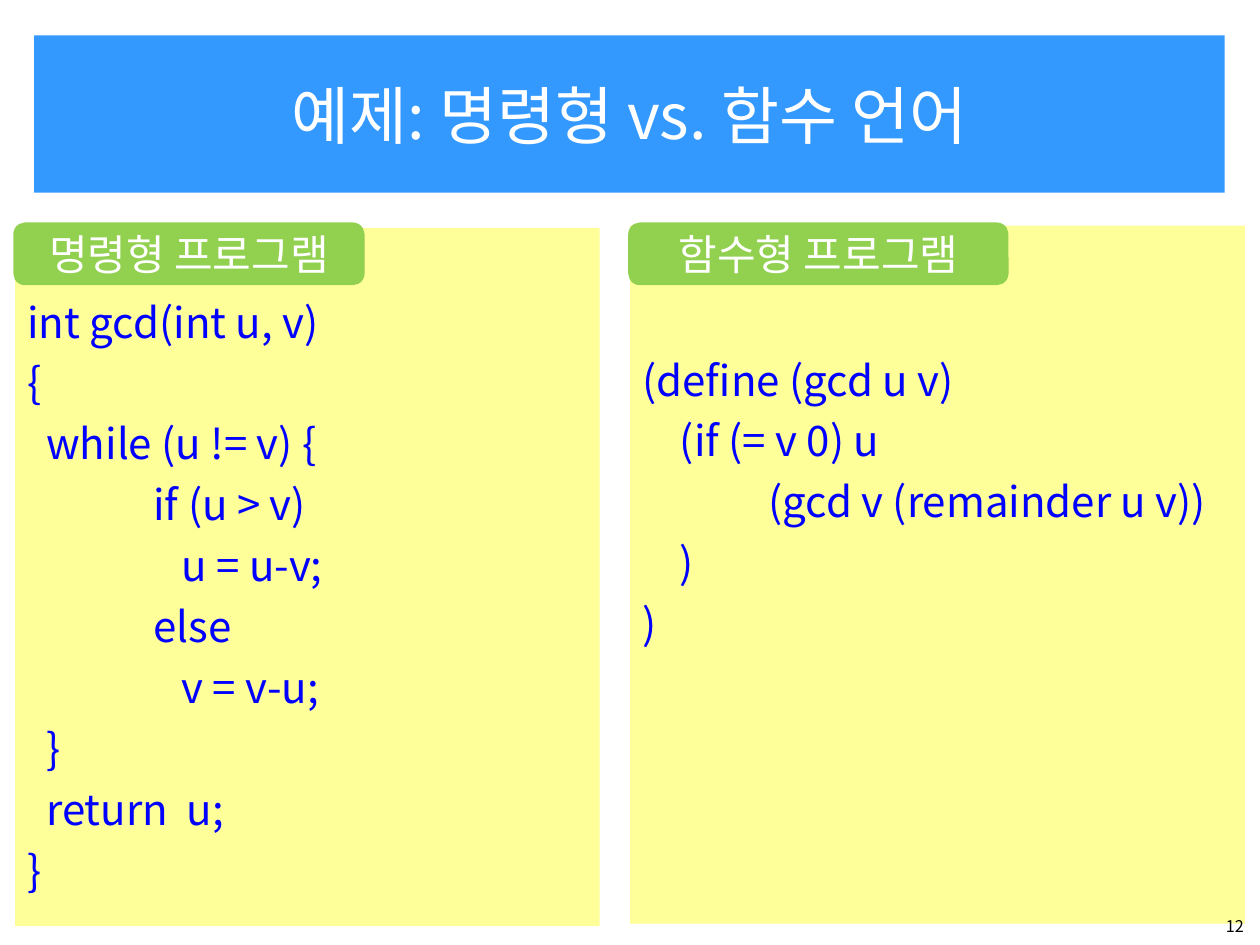
from dataclasses import dataclass

from lxml import etree
from pptx import Presentation
from pptx.dml.color import RGBColor
from pptx.enum.shapes import MSO_SHAPE
from pptx.enum.text import MSO_ANCHOR, PP_ALIGN
from pptx.oxml.ns import qn
from pptx.util import Inches, Pt

RECTANGLE = MSO_SHAPE.RECTANGLE
ROUNDED = MSO_SHAPE.ROUNDED_RECTANGLE
TOP, MIDDLE = MSO_ANCHOR.TOP, MSO_ANCHOR.MIDDLE
LEFT, CENTER, RIGHT = PP_ALIGN.LEFT, PP_ALIGN.CENTER, PP_ALIGN.RIGHT


@dataclass(frozen=True)
class Theme:
    font: str = "Noto Sans CJK KR"
    banner: str = "3399FF"
    panel: str = "FFFF99"
    label: str = "92D050"
    code: str = "0000FF"
    white: str = "FFFFFF"
    black: str = "000000"
    title_size: float = 36
    body_size: float = 24
    number_size: float = 9.2


THEME = Theme()

IMPERATIVE_CODE = """int gcd(int u, v)
{
  while (u != v) {
\tif (u > v)
\t   u = u-v;
\telse
\t   v = v-u;
  }
  return  u;
}"""

FUNCTIONAL_CODE = """(define (gcd u v)
    (if (= v 0) u
\t(gcd v (remainder u v))
    )
)"""


def add_block(kind, left, top, width, height, fill, outline=None):
    block = page.shapes.add_shape(
        kind, Inches(left), Inches(top), Inches(width), Inches(height))
    block.shadow.inherit = False
    block.fill.solid()
    block.fill.fore_color.rgb = RGBColor.from_string(fill)
    if outline:
        block.line.color.rgb = RGBColor.from_string(outline)
        block.line.width = Pt(2)
    else:
        block.line.fill.background()
    return block


def write_text(box, text, size, color, align=LEFT, anchor=TOP,
               top_inset=0.05, tab_stop=None, space_before=6):
    """Write one paragraph per line of text; tab_stop is in inches."""
    frame = box.text_frame
    frame.word_wrap = True
    frame.vertical_anchor = anchor
    frame.margin_top = Inches(top_inset)
    for index, line in enumerate(text.split("\n")):
        para = frame.add_paragraph() if index else frame.paragraphs[0]
        para.alignment = align
        if tab_stop:
            tabs = etree.SubElement(para._p.get_or_add_pPr(), qn("a:tabLst"))
            etree.SubElement(tabs, qn("a:tab"),
                             pos=str(Inches(tab_stop)), algn="l")
        if index:
            para.space_before = Pt(space_before)
        span = para.add_run()
        span.text = line
        span.font.size = Pt(size)
        span.font.name = THEME.font
        span.font.color.rgb = RGBColor.from_string(color)
        span.font._element.set("kern", "0")
        east_asian = etree.SubElement(span.font._element, qn("a:ea"))
        east_asian.set("typeface", THEME.font)


deck = Presentation()
deck.slide_width, deck.slide_height = Inches(10), Inches(7.5)
page = deck.slides.add_slide(deck.slide_layouts[6])

banner = add_block(RECTANGLE, 0.27, 0.28, 9.45, 1.25, THEME.banner)
write_text(banner, "예제: 명령형 vs. 함수 언어", THEME.title_size, THEME.white,
           align=CENTER, anchor=MIDDLE)

# left, panel top, panel width, label width, code inset, label, code
columns = [
    (0.12, 1.81, 4.64, 2.76, 0.54, "명령형 프로그램", IMPERATIVE_CODE),
    (5, 1.79, 4.88, 2.99, 1.02, "함수형 프로그램", FUNCTIONAL_CODE),
]
for left, top, width, label_width, inset, heading, code in columns:
    panel = add_block(RECTANGLE, left, top, width, 5.54, THEME.panel)
    write_text(panel, code, THEME.body_size, THEME.code,
               top_inset=inset, tab_stop=1)
    label = add_block(ROUNDED, left, 1.78, label_width, 0.47,
                      THEME.label, outline=THEME.label)
    write_text(label, heading, THEME.body_size, THEME.white,
               align=CENTER, anchor=MIDDLE)

page_number = page.shapes.add_textbox(
    Inches(7.64), Inches(7.22), Inches(2.33), Inches(0.28))
write_text(page_number, "12", THEME.number_size, THEME.black, align=RIGHT)

deck.save("out.pptx")
